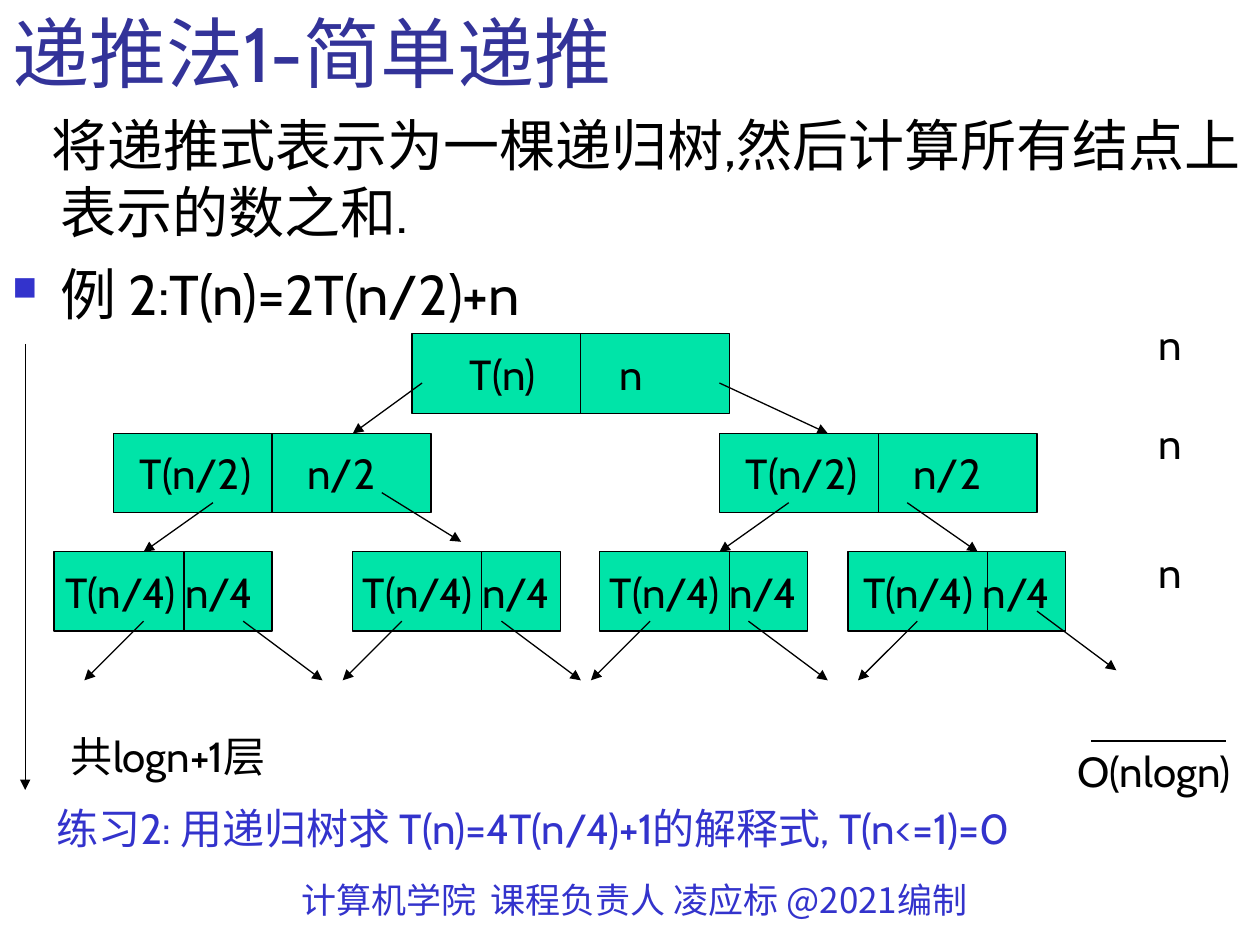
import pptx
import pptx.dml.color
import pptx.enum.shapes
import pptx.enum.text
import pptx.oxml
import pptx.oxml.ns
import pptx.util
from pptx.util import Inches

COLORS = {"title": "333399", "accent": "3333CC", "text": "000000", "node": "00E4A8"}
ANCHOR = pptx.enum.text.MSO_ANCHOR
ALIGN = pptx.enum.text.PP_ALIGN


def color(name):
    return pptx.dml.color.RGBColor.from_string(COLORS[name])


def add_element(parent, tag, **attributes):
    """Append a drawing element such as a:buChar to its parent."""
    element = pptx.oxml.parse_xml(f"<{tag} {pptx.oxml.ns.nsdecls('a')}/>")
    for name, value in attributes.items():
        element.set(name, str(value))
    parent.append(element)
    return element


def write(para, text, size=24, ink="text", font="Cabin", align=ALIGN.LEFT,
          before=0, spacing=None, margin=0, indent=0, bullet=None):
    """Fill one paragraph with formatted text."""
    para.alignment = align
    para.space_before = pptx.util.Pt(before)
    if spacing:
        para.line_spacing = spacing
    properties = para._p.get_or_add_pPr()
    properties.set("marL", str(Inches(margin)))
    properties.set("indent", str(Inches(indent)))
    if bullet:
        add_element(add_element(properties, "a:buClr"), "a:srgbClr", val=COLORS["accent"])
        add_element(properties, "a:buSzPct", val=60000)
        add_element(properties, "a:buChar", char=bullet)
    else:
        add_element(properties, "a:buNone")
    span = para.add_run()
    span.text = text
    span.font.size = pptx.util.Pt(size)
    span.font.name = font
    span.font.color.rgb = color(ink)
    add_element(span._r.get_or_add_rPr(), "a:ea", typeface=font)


class TreeSlide:
    node_height = 0.63
    line_width = pptx.util.Pt(0.75)

    def __init__(self, deck):
        self.page = deck.slides.add_slide(deck.slide_layouts[6])

    def text(self, left, top, width, height, text, anchor=ANCHOR.TOP,
             insets=(0.1, 0.1), **style):
        box = self.page.shapes.add_textbox(*map(Inches, (left, top, width, height)))
        frame = box.text_frame
        frame.word_wrap = True
        frame.vertical_anchor = anchor
        frame.margin_left, frame.margin_right = map(Inches, insets)
        write(frame.paragraphs[0], text, **style)
        return frame

    def label(self, left, top, width, height, text):
        self.text(left, top, width, height, text, anchor=ANCHOR.MIDDLE, insets=(0, 0),
                  align=ALIGN.CENTER)

    def line(self, start, end, arrow=False):
        connector = self.page.shapes.add_connector(
            pptx.enum.shapes.MSO_CONNECTOR.STRAIGHT, *map(Inches, (*start, *end)))
        connector.line.color.rgb = color("text")
        connector.line.width = self.line_width
        if arrow:
            add_element(connector.line._get_or_add_ln(), "a:tailEnd", type="triangle")
        add_element(connector._element.spPr, "a:effectLst")
        return connector

    def arrow(self, x, y, across, down):
        self.line((x, y), (x + across, y + down), arrow=True)

    def node(self, left, top, width, split, text, inset, cost=None, cost_inset=0):
        """A box divided at split; a cost is set apart in the right part."""
        box = self.page.shapes.add_shape(
            pptx.enum.shapes.MSO_SHAPE.RECTANGLE,
            *map(Inches, (left, top, width, self.node_height)))
        box.shadow.inherit = False
        box.fill.solid()
        box.fill.fore_color.rgb = color("node")
        box.line.color.rgb = color("text")
        box.line.width = self.line_width
        frame = box.text_frame
        frame.word_wrap = True
        frame.vertical_anchor = ANCHOR.MIDDLE
        frame.margin_left, frame.margin_right = Inches(inset), 0
        write(frame.paragraphs[0], text)
        x = left + split
        divider = self.line((x, top), (x, top + self.node_height))
        if abs(split - width / 2) < 0.01:
            divider.begin_connect(box, 0)
            divider.end_connect(box, 2)
        if cost:
            self.text(x, top, width - split, self.node_height, cost,
                      anchor=ANCHOR.MIDDLE, insets=(cost_inset, 0))


def main():
    deck = pptx.Presentation()
    deck.slide_width, deck.slide_height = Inches(10), Inches(7.5)
    slide = TreeSlide(deck)

    # Footer, title and body
    slide.text(2.19, 6.92, 6.75, 0.44, "计算机学院\t课程负责人 凌应标 @2021编制",
               insets=(0.2, 0.1), size=20, ink="accent", font="Noto Sans CJK SC")
    slide.text(0, 0, 10, 0.83, "递推法1-简单递推", anchor=ANCHOR.BOTTOM, size=44, ink="title")
    body = slide.text(0, 0.83, 10, 1.89,
                      "将递推式表示为一棵递归树,然后计算所有结点上表示的数之和.",
                      size=32, margin=0.38, indent=-0.07)
    write(body.add_paragraph(), "例 2:T(n)=2T(n/2)+n", size=32, before=8,
          margin=0.38, indent=-0.38, bullet="■")

    # Tree nodes, level by level
    slide.node(3.27, 2.65, 2.52, 1.34, "T(n)", 0.46, "n", 0.31)
    for left in (0.9, 5.71):
        slide.node(left, 3.44, 2.52, 1.26, "T(n/2)", 0.21, "n/2", 0.28)
    for left, width, split, inset in ((0.43, 1.73, 1.03, 0.09), (2.8, 1.65, 1.02, 0.08),
                                      (4.76, 1.65, 1.03, 0.08), (6.73, 1.73, 1.11, 0.12)):
        slide.node(left, 4.38, width, split, "T(n/4) n/4", inset)

    # Arrows from the root and the second level
    slide.arrow(3.35, 3.04, -0.55, 0.4)
    slide.arrow(5.71, 3.04, 0.86, 0.4)
    for x, y, across in ((1.69, 3.99, -0.55), (3.03, 3.91, 0.63),
                         (6.26, 3.99, -0.55), (7.2, 3.99, 0.56)):
        slide.arrow(x, y, across, 0.39)

    # Arrows below the third level
    for x in (1.14, 3.19, 5.16, 7.28):
        slide.arrow(x, 4.93, -0.47, 0.47)
    for x, y in ((1.93, 4.93), (3.98, 4.93), (5.94, 4.93), (8.23, 4.85)):
        slide.arrow(x, y, 0.63, 0.47)

    # Depth arrow, cost of each level and total
    slide.arrow(0.2, 2.73, 0, 3.54)
    for top in (2.41, 3.2, 4.22):
        slide.label(9.02, top, 0.53, 0.63, "n")
    slide.line((8.66, 5.88), (9.73, 5.88))
    slide.label(8.51, 5.8, 1.3, 0.63, "O(nlogn)")
    slide.label(0.43, 5.64, 1.81, 0.71, "共logn+1层")

    # Exercise
    slide.text(0.35, 6.43, 9.65, 0.4, "练习2: 用递归树求 T(n)=4T(n/4)+1的解释式, T(n<=1)=0",
               ink="accent", spacing=0.7)

    deck.save("out.pptx")


if __name__ == "__main__":
    main()
